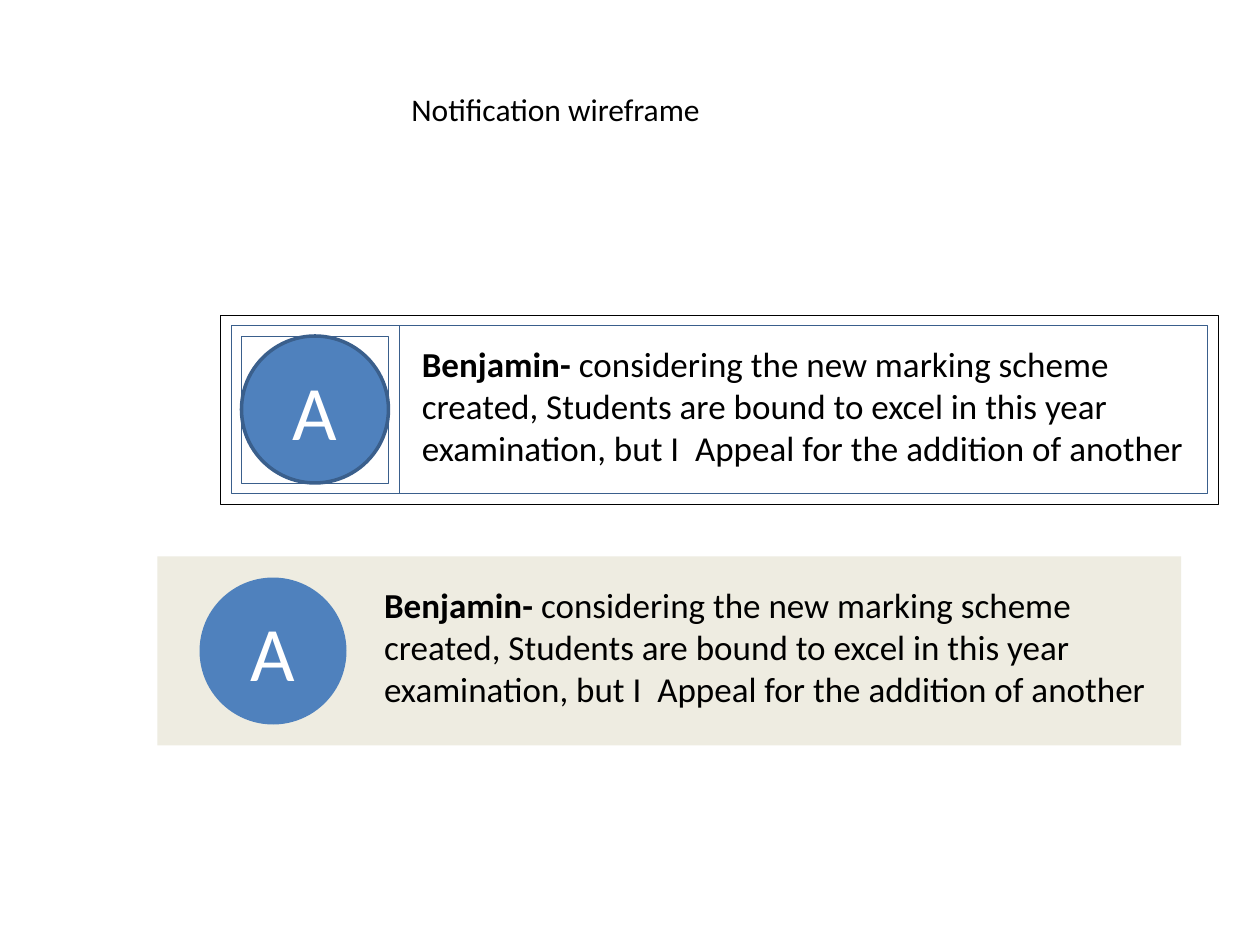
from pptx import Presentation
from pptx.dml.color import RGBColor
from pptx.enum.shapes import MSO_SHAPE
from pptx.enum.text import MSO_ANCHOR, MSO_AUTO_SIZE, PP_ALIGN
from pptx.util import Pt

RECTANGLE, OVAL = MSO_SHAPE.RECTANGLE, MSO_SHAPE.OVAL
MIDDLE, CENTER = MSO_ANCHOR.MIDDLE, PP_ALIGN.CENTER
FIT_SHAPE = MSO_AUTO_SIZE.SHAPE_TO_FIT_TEXT

BLACK = RGBColor(0x00, 0x00, 0x00)
WHITE = RGBColor(0xFF, 0xFF, 0xFF)
BLUE = RGBColor(0x4F, 0x81, 0xBD)
DARK_BLUE = RGBColor(0x3A, 0x5F, 0x8C)
CREAM = RGBColor(0xEE, 0xEC, 0xE1)
FONT = "Calibri"

SENDER = "Benjamin- "
MESSAGE = [
    "considering the new marking scheme ",
    "created, Students are bound to excel in this year ",
    "examination, but I  Appeal for the addition of another ",
]

deck = Presentation()
deck.slide_width, deck.slide_height = Pt(720), Pt(540)
page = deck.slides.add_slide(deck.slide_layouts[6])


def add_block(kind, bounds, fill=None, line=None, line_width=0.25):
    block = page.shapes.add_shape(kind, *map(Pt, bounds))
    block.shadow.inherit = False
    if fill is None:
        block.fill.background()
    else:
        block.fill.solid()
        block.fill.fore_color.rgb = fill
    if line is None:
        block.line.fill.background()
    else:
        block.line.color.rgb = line
        block.line.width = Pt(line_width)
    return block


def style(para, size, color):
    para.font.name = FONT
    para.font.size = Pt(size)
    para.font.color.rgb = color


# Title
title = page.shapes.add_textbox(Pt(228), Pt(48), Pt(234), Pt(29))
title.text_frame.word_wrap = True
title.text_frame.auto_size = FIT_SHAPE
title.text_frame.text = "Notification wireframe"
style(title.text_frame.paragraphs[0], 18, BLACK)

# Wireframe outlines: card, avatar cell, avatar bounds, message cell
for bounds, color in [
    ((126, 180, 570, 108), BLACK),
    ((132, 186, 96, 96), DARK_BLUE),
    ((138, 192, 84, 84), DARK_BLUE),
    ((228, 186, 462, 96), DARK_BLUE),
]:
    add_block(RECTANGLE, bounds, line=color)

# Background of the finished card
add_block(RECTANGLE, (90, 318, 585, 108), fill=CREAM)

# Avatar and message of both cards
for avatar_left, message_left, top, outline in [
    (138, 234, 192, DARK_BLUE),
    (114, 212.4, 330, None),
]:
    avatar = add_block(OVAL, (avatar_left, top, 84, 84), BLUE, outline, 2)
    avatar.text_frame.vertical_anchor = MIDDLE
    avatar.text_frame.text = "A"
    letter = avatar.text_frame.paragraphs[0]
    letter.alignment = CENTER
    style(letter, 44, WHITE)

    box = page.shapes.add_textbox(Pt(message_left), Pt(top), Pt(465), Pt(80))
    frame = box.text_frame
    frame.word_wrap = False
    frame.auto_size = FIT_SHAPE
    for index, text in enumerate(MESSAGE):
        para = frame.add_paragraph() if index else frame.paragraphs[0]
        style(para, 20, BLACK)
        if index == 0:
            span = para.add_run()
            span.text = SENDER
            span.font.bold = True
        para.add_run().text = text

deck.save("out.pptx")
